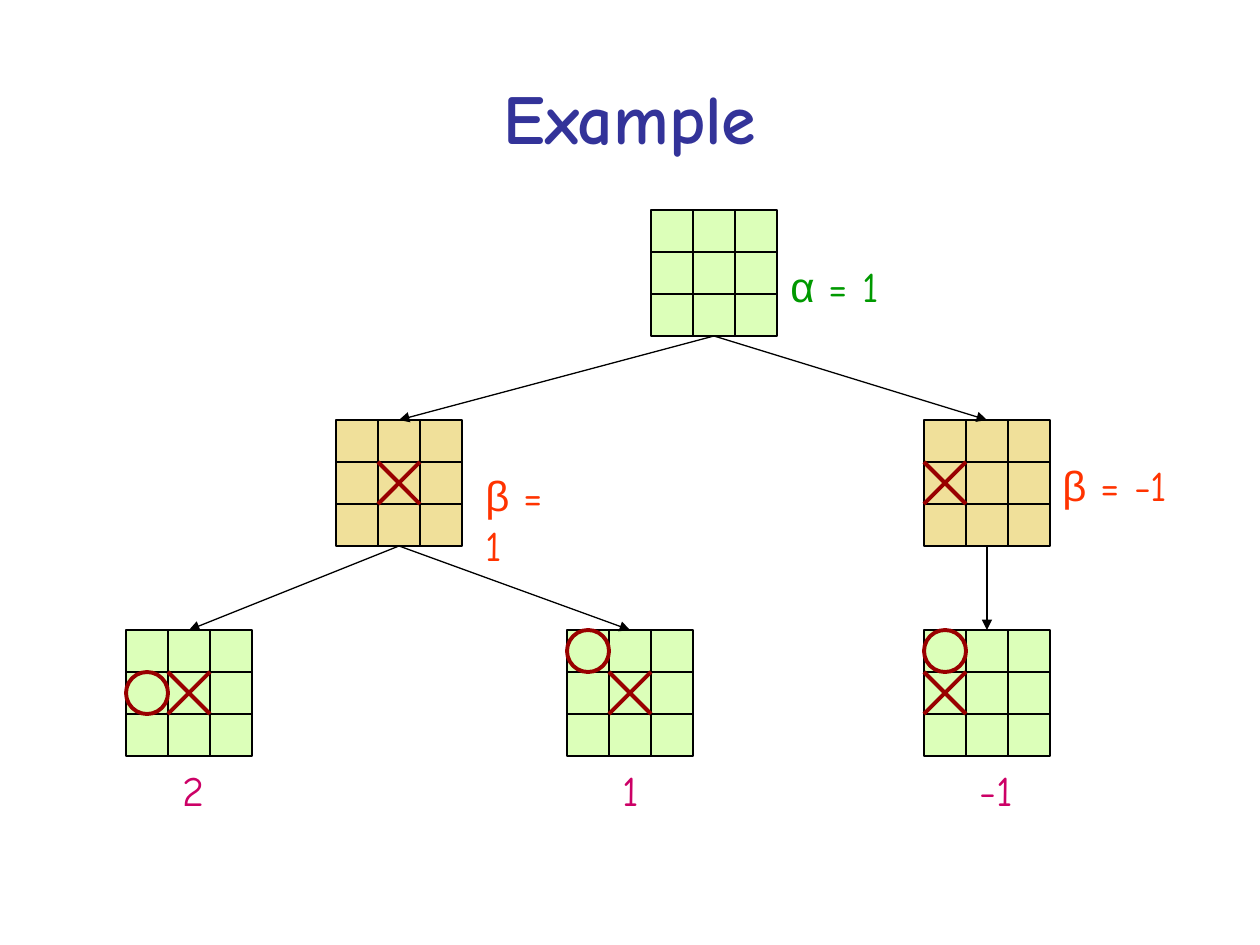
from dataclasses import dataclass
from typing import Optional

from lxml.etree import SubElement
from pptx import Presentation
from pptx.dml.color import RGBColor
from pptx.enum.shapes import MSO_CONNECTOR, MSO_SHAPE
from pptx.enum.text import MSO_ANCHOR, MSO_AUTO_SIZE, PP_ALIGN
from pptx.oxml.ns import qn
from pptx.util import Emu, Pt

EMU_PER_PX = 914400 / 126
CELL = 42
BOARD = 3 * CELL

BLACK = RGBColor(0x00, 0x00, 0x00)
NAVY = RGBColor(0x33, 0x33, 0x99)
LIME = RGBColor(0xDC, 0xFF, 0xB9)
SAND = RGBColor(0xF0, 0xE0, 0x9A)
MAROON = RGBColor(0x99, 0x00, 0x00)
GREEN = RGBColor(0x00, 0x99, 0x00)
ORANGE = RGBColor(0xFF, 0x33, 0x00)
PINK = RGBColor(0xCC, 0x00, 0x66)

FONT = "Comic Neue"
GREEK_FONT = "Arial"

Cell = tuple[int, int]  # column, row


@dataclass
class Board:
    name: str
    x: int
    y: int
    fill: RGBColor
    cross: Optional[Cell] = None
    nought: Optional[Cell] = None
    parent: Optional[str] = None


@dataclass
class Label:
    x: int
    y: int
    width: int
    color: RGBColor
    text: str
    greek: str = ""
    wrap: bool = False


BOARDS = [
    Board("root", 651, 210, LIME),
    Board("centre", 336, 420, SAND, cross=(1, 1), parent="root"),
    Board("side", 924, 420, SAND, cross=(0, 1), parent="root"),
    Board("leaf 1", 126, 630, LIME, (1, 1), (0, 1), "centre"),
    Board("leaf 2", 567, 630, LIME, (1, 1), (0, 0), "centre"),
    Board("leaf 3", 924, 630, LIME, (0, 1), (0, 0), "side"),
]

LABELS = [
    Label(778, 254, 116, GREEN, " = 1", "α"),
    Label(473, 463, 105, ORANGE, " = 1", "β", wrap=True),
    Label(1050, 453, 142, ORANGE, " = -1", "β"),
    Label(170, 758, 47, PINK, "2"),
    Label(610, 758, 42, PINK, "1"),
    Label(967, 758, 62, PINK, "-1"),
]


def px(n: int) -> Emu:
    return Emu(round(n * EMU_PER_PX))


def add_line(shapes, x1: int, y1: int, x2: int, y2: int,
             color: RGBColor = BLACK, width: float = 0.75):
    line = shapes.add_connector(MSO_CONNECTOR.STRAIGHT, px(x1), px(y1), px(x2), px(y2))
    line.line.color.rgb = color
    line.line.width = Pt(width)
    SubElement(line._element.spPr, qn("a:effectLst"))
    return line


def add_board(shapes, board: Board):
    x, y = board.x, board.y
    sp = shapes.add_shape(MSO_SHAPE.RECTANGLE, px(x), px(y), px(BOARD), px(BOARD))
    sp.shadow.inherit = False
    sp.fill.solid()
    sp.fill.fore_color.rgb = board.fill
    sp.line.color.rgb = BLACK
    sp.line.width = Pt(0.75)
    for step in (CELL, 2 * CELL):
        add_line(shapes, x + step, y, x + step, y + BOARD)
        add_line(shapes, x, y + step, x + BOARD, y + step)
    if board.cross:
        left, top = x + board.cross[0] * CELL, y + board.cross[1] * CELL
        add_line(shapes, left, top, left + CELL, top + CELL, MAROON, 2.25)
        add_line(shapes, left, top + CELL, left + CELL, top, MAROON, 2.25)
    if board.nought:
        left, top = x + board.nought[0] * CELL, y + board.nought[1] * CELL
        ring = shapes.add_shape(MSO_SHAPE.OVAL, px(left), px(top), px(CELL), px(CELL))
        ring.shadow.inherit = False
        ring.fill.background()
        ring.line.color.rgb = MAROON
        ring.line.width = Pt(2.25)
    return sp


def add_move(shapes, parent: Board, child: Board, nodes: dict) -> None:
    half = BOARD // 2
    arrow = add_line(shapes, parent.x + half, parent.y + BOARD, child.x + half, child.y)
    arrow.begin_connect(nodes[parent.name], 2)
    arrow.end_connect(nodes[child.name], 0)
    SubElement(arrow.line._get_or_add_ln(), qn("a:tailEnd"), type="triangle")


def add_label(shapes, label: Label) -> None:
    box = shapes.add_textbox(px(label.x), px(label.y), px(label.width), px(63))
    tf = box.text_frame
    tf.word_wrap = label.wrap
    tf.auto_size = MSO_AUTO_SIZE.SHAPE_TO_FIT_TEXT
    p = tf.paragraphs[0]
    for text, font in ((label.greek, GREEK_FONT), (label.text, FONT)):
        if text:
            r = p.add_run()
            r.text = text
            r.font.name = font
            r.font.size = Pt(24)
            r.font.color.rgb = label.color


def main() -> None:
    prs = Presentation()
    prs.slide_width, prs.slide_height = px(1260), px(945)
    s = prs.slides.add_slide(prs.slide_layouts[5])

    # Title
    title = s.shapes.title
    title.left, title.top, title.width, title.height = px(63), px(38), px(1134), px(157)
    tf = title.text_frame
    tf.text = "Example"
    tf.vertical_anchor = MSO_ANCHOR.MIDDLE
    p = tf.paragraphs[0]
    p.alignment = PP_ALIGN.CENTER
    font = p.runs[0].font
    font.name, font.size, font.bold = FONT, Pt(40), True
    font.color.rgb = NAVY

    # Game tree: boards, then the moves between them
    by_name = {board.name: board for board in BOARDS}
    nodes = {board.name: add_board(s.shapes, board) for board in BOARDS}
    for board in BOARDS:
        if board.parent:
            add_move(s.shapes, by_name[board.parent], board, nodes)

    # Bounds and leaf scores
    for label in LABELS:
        add_label(s.shapes, label)

    prs.save("out.pptx")


if __name__ == "__main__":
    main()
